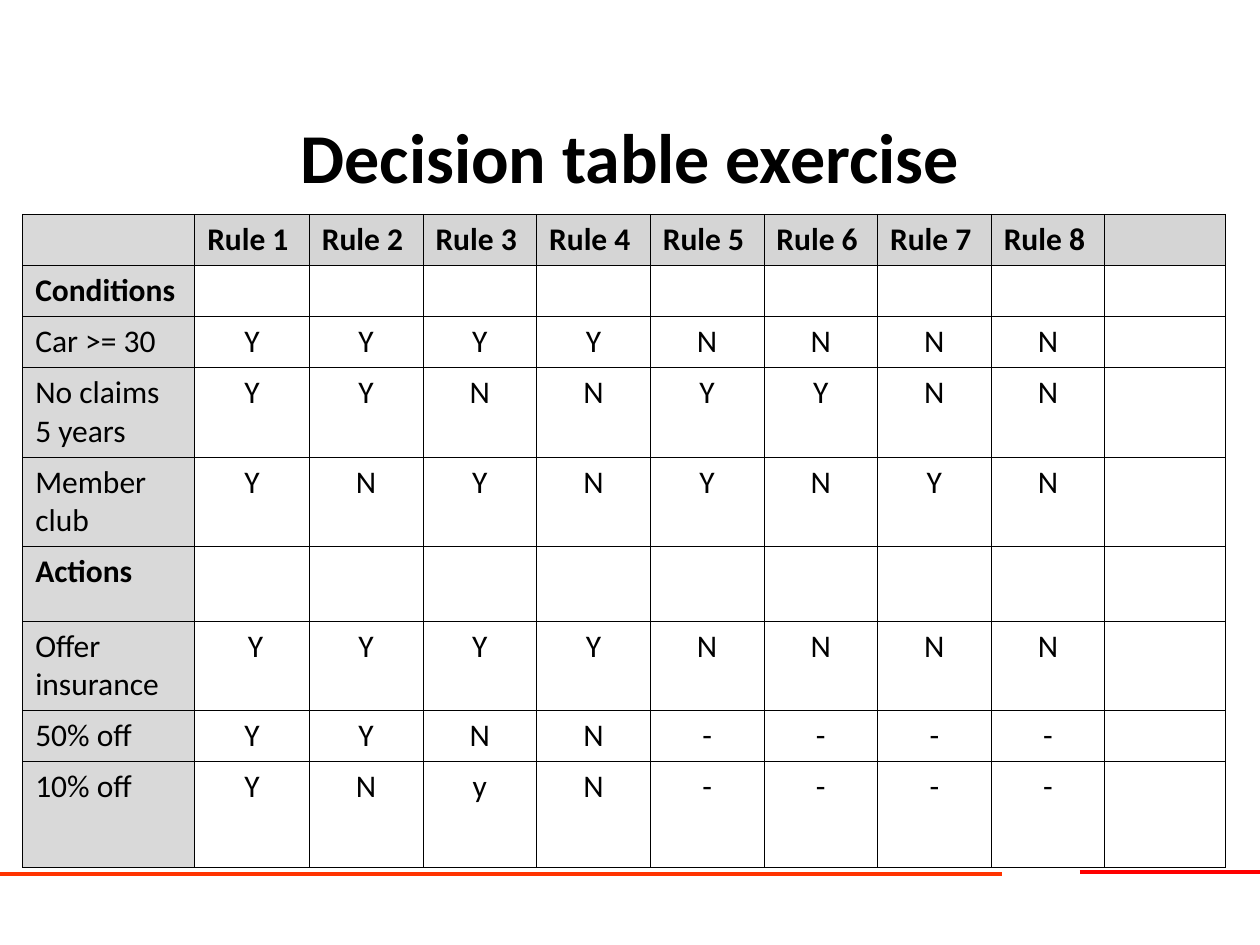
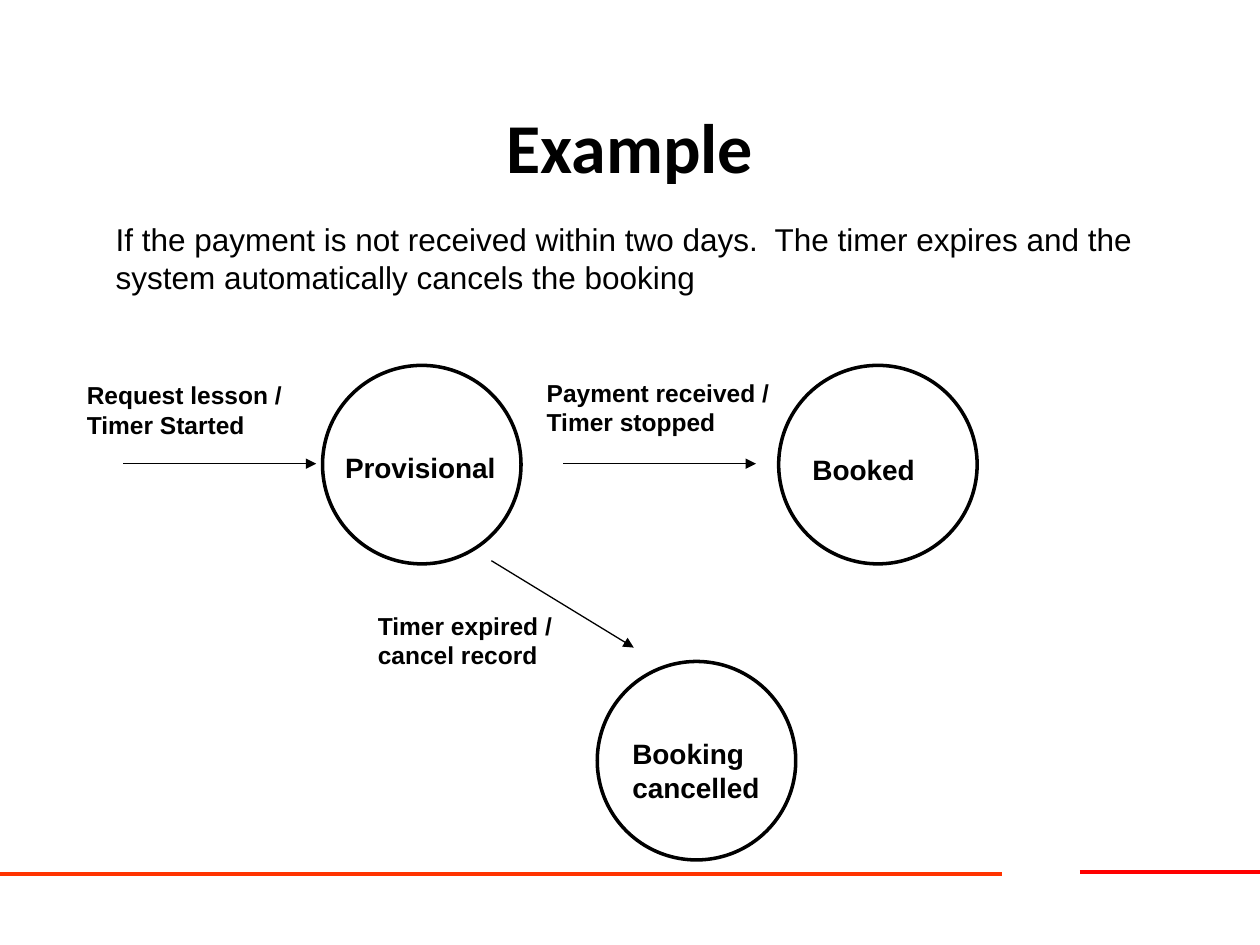
"""Build two slides: a decision table and a state transition example."""
from dataclasses import dataclass

from lxml import etree
from pptx import Presentation
from pptx import util as u
from pptx.dml.color import RGBColor
from pptx.enum import shapes, text
from pptx.oxml import ns


@dataclass(frozen=True)
class Theme:
    """Colours, fonts and sizes of the deck."""
    ink: str = "000000"
    paper: str = "FFFFFF"
    head: str = "D5D5D5"
    side: str = "D9D9D9"
    band: str = "FF3300"
    accent: str = "FF0000"
    heading_font: str = "Calibri"
    body_font: str = "Arial"
    title: float = 40
    body: float = 18
    state: float = 16
    label: float = 14
    band_line: float = 2.25
    state_line: float = 2
    arrow_line: float = 0.75
    cell_line: float = 0.45


class Deck:
    """Hold the theme and current slide, on a grid of 100 columns by 75 rows."""

    COLS, ROWS = 100, 75

    def __init__(self, theme):
        """Start an empty 10 by 7.5 inch presentation."""
        self.t = theme
        self.prs = Presentation()
        self.prs.slide_width, self.prs.slide_height = u.Inches(10), u.Inches(7.5)
        self.s = None

    def x(self, cols):
        """Turn columns into a length."""
        return round(self.prs.slide_width * cols / self.COLS)

    def y(self, rows):
        """Turn rows into a length."""
        return round(self.prs.slide_height * rows / self.ROWS)

    def box(self, left, top, width, height):
        """Turn a grid box into four lengths."""
        return self.x(left), self.y(top), self.x(width), self.y(height)

    def put_text(self, tf, content, size, font, bold=False, align=text.PP_ALIGN.LEFT):
        """Put one formatted paragraph into a text frame."""
        p = tf.paragraphs[0]
        p.alignment = align
        r = p.add_run()
        r.text = content
        style = {"size": u.Pt(size), "name": font, "bold": bold}
        for name, value in style.items():
            setattr(r.font, name, value)
        r.font.color.rgb = RGBColor.from_string(self.t.ink)

    def slide(self, title, top):
        """Start a slide with its title and the two footer lines."""
        self.s = self.prs.slides.add_slide(self.prs.slide_layouts[5])
        self.line((85.7, 69.2), (100, 69.2), self.t.accent, self.t.band_line)
        self.line((0, 69.4), (79.5, 69.4), self.t.band, self.t.band_line)
        sp = self.s.shapes.title
        sp.left, sp.top, sp.width, sp.height = self.box(7.5, top, 85, 12.5)
        tf = sp.text_frame
        tf.auto_size = text.MSO_AUTO_SIZE.NONE
        tf.vertical_anchor = text.MSO_ANCHOR.MIDDLE
        self.put_text(tf, title, self.t.title, self.t.heading_font, True,
                      text.PP_ALIGN.CENTER)

    def line(self, start, end, color, width, arrow=False):
        """Draw a straight line, with an arrowhead if asked."""
        sp = self.s.shapes.add_connector(
            shapes.MSO_CONNECTOR.STRAIGHT,
            self.x(start[0]), self.y(start[1]), self.x(end[0]), self.y(end[1]))
        sp.line.color.rgb = RGBColor.from_string(color)
        sp.line.width = u.Pt(width)
        sp_pr = sp._element.spPr
        if arrow:
            etree.SubElement(sp_pr.find(ns.qn("a:ln")), ns.qn("a:tailEnd"), type="triangle")
        etree.SubElement(sp_pr, ns.qn("a:effectLst"))

    def arrow(self, start, end):
        """Draw a transition arrow."""
        self.line(start, end, self.t.ink, self.t.arrow_line, True)

    def note(self, content, left, top, width, height, size, bold=True):
        """Add a wrapped text box that grows with its text."""
        tf = self.s.shapes.add_textbox(*self.box(left, top, width, height)).text_frame
        tf.word_wrap = True
        tf.auto_size = text.MSO_AUTO_SIZE.SHAPE_TO_FIT_TEXT
        self.put_text(tf, content, size, self.t.body_font, bold)

    def label(self, content, left, top):
        """Name the event and action of a transition."""
        self.note(content, left, top, 20.2, 5.7, self.t.label)

    def state(self, content, left, top, dx, dy, width, height=3.7):
        """Draw a state circle with its name set at an offset."""
        sp = self.s.shapes.add_shape(
            shapes.MSO_SHAPE.OVAL, *self.box(left, top, 15.75, 15.75))
        sp.shadow.inherit = False
        sp.fill.solid()
        sp.fill.fore_color.rgb = RGBColor.from_string(self.t.paper)
        sp.line.color.rgb = RGBColor.from_string(self.t.ink)
        sp.line.width = u.Pt(self.t.state_line)
        self.note(content, left + dx, top + dy, width, height, self.t.state)

    def borders(self, cell):
        """Draw a thin line on the four sides of a cell."""
        tc_pr = cell._tc.get_or_add_tcPr()
        for i, side in enumerate("LRTB"):
            ln = etree.Element(ns.qn(f"a:ln{side}"), w=str(u.Pt(self.t.cell_line)))
            fill = etree.SubElement(ln, ns.qn("a:solidFill"))
            etree.SubElement(fill, ns.qn("a:srgbClr"), val=self.t.ink)
            tc_pr.insert(i, ln)

    def cell(self, cell, content, row, col, bold):
        """Fill, frame and letter one table cell."""
        fill = self.t.side if col == 0 else self.t.head if row == 0 else None
        if fill:
            cell.fill.solid()
            cell.fill.fore_color.rgb = RGBColor.from_string(fill)
        else:
            cell.fill.background()
        self.borders(cell)
        if content:
            align = text.PP_ALIGN.CENTER if row and col else text.PP_ALIGN.LEFT
            self.put_text(cell.text_frame, content, self.t.body,
                          self.t.heading_font, bold, align)

    def table(self, left, top, widths, heights, rows, sections):
        """Add a table whose header and section rows are bold."""
        tbl = self.s.shapes.add_table(
            len(heights), len(widths),
            *self.box(left, top, sum(widths), sum(heights))).table
        for flag in ("first_row", "horz_banding"):
            setattr(tbl, flag, False)
        for col, width in zip(tbl.columns, widths):
            col.width = self.x(width)
        for row, height in zip(tbl.rows, heights):
            row.height = self.y(height)
        for i, (name, values) in enumerate(rows):
            line = [name, *values] + [""] * (len(widths) - 1 - len(values))
            for j, content in enumerate(line):
                self.cell(tbl.cell(i, j), content, i, j, i == 0 or name in sections)


def decision_table(deck):
    """Build the decision table slide."""
    deck.slide("Decision table exercise", 6.1)
    rows = [
        ("", [f"Rule {n}" for n in range(1, 9)]),
        ("Conditions", ""),
        ("Car >= 30", "YYYYNNNN"),
        ("No claims 5 years", "YYNNYYNN"),
        ("Member club", "YNYNYNYN"),
        ("Actions", ""),
        ("Offer insurance", [" Y", *"YYYNNNN"]),
        ("50% off", "YYNN----"),
        ("10% off", "YNyN----"),
    ]
    widths = [13.65, 9.1] + [9.02] * 7 + [9.6]
    heights = [4.05, 4.05, 4.05, 7.1, 7.1, 5.9, 7.1, 4.05, 8.4]
    deck.table(1.8, 17, widths, heights, rows, ("Conditions", "Actions"))


def booking_states(deck):
    """Build the booking state transition slide."""
    deck.slide("Example", 5.3)
    deck.note("If the payment is not received within two days.  The timer expires "
              "and the system automatically cancels the booking",
              8.2, 17, 84.3, 7, deck.t.body, False)
    deck.state("Provisional", 25.6, 29, 0.8, 6.3, 15)
    deck.state("Booked", 61.8, 29, 1.7, 6.4, 13.4)
    deck.state("Booking cancelled", 47.4, 52.5, 1.8, 5.5, 14.9, 6.4)
    deck.arrow((9.8, 36.8), (25.1, 36.8))
    deck.arrow((44.7, 36.8), (60, 36.8))
    deck.arrow((39, 44.5), (50.3, 51.4))
    deck.label("Request lesson / Timer Started", 5.9, 29.7)
    deck.label("Payment received / Timer stopped", 42.4, 29.5)
    deck.label("Timer expired / cancel record", 29, 48)


def main():
    """Build and save the deck."""
    deck = Deck(Theme())
    decision_table(deck)
    booking_states(deck)
    deck.prs.save("out.pptx")


if __name__ == "__main__":
    main()
